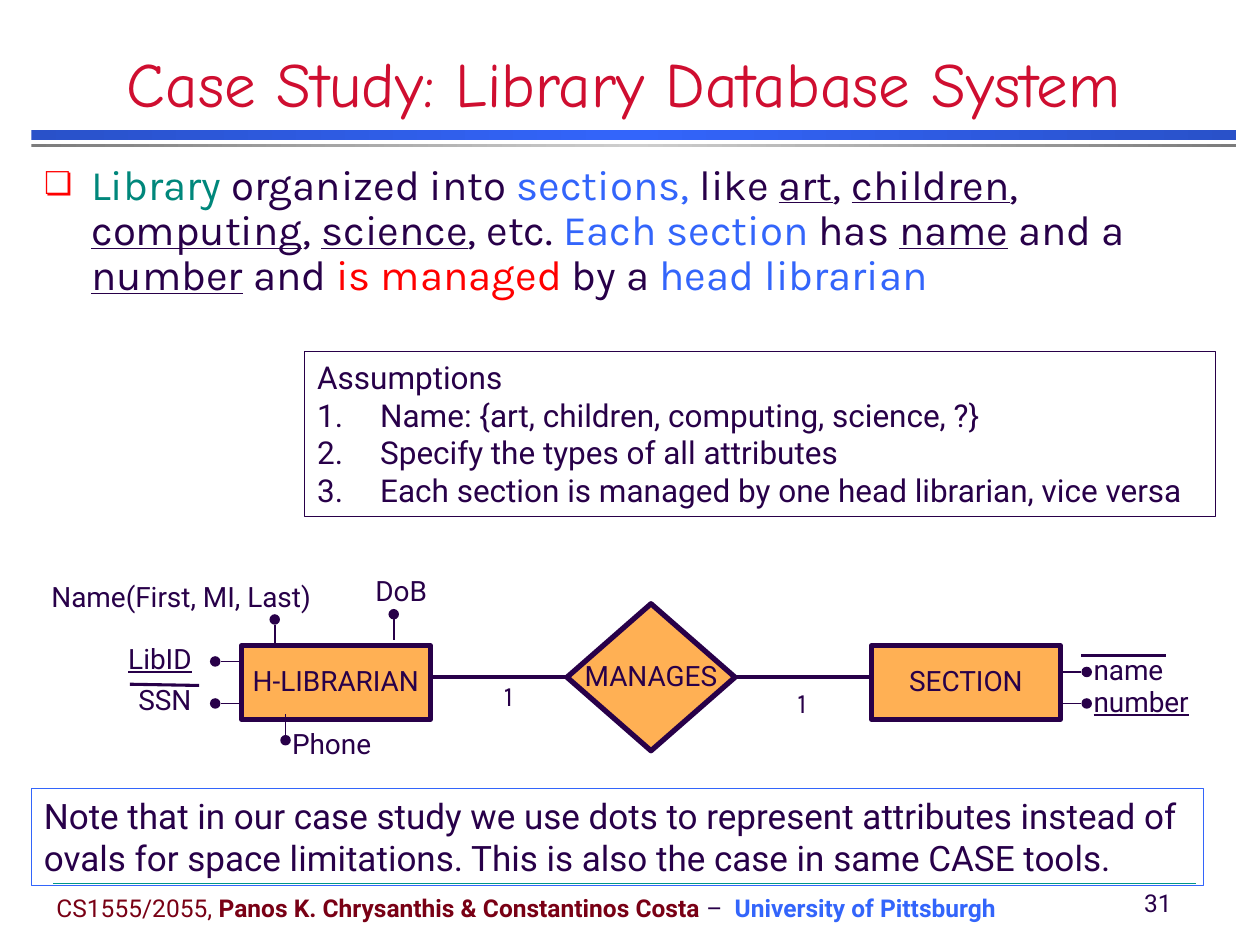
"""Build a slide on the library database case study with its entity-relationship diagram."""
from copy import deepcopy

from lxml.etree import SubElement
from pptx import Presentation
from pptx.dml.color import RGBColor
from pptx.enum.shapes import MSO_CONNECTOR, MSO_SHAPE
from pptx.enum.text import MSO_ANCHOR, PP_ALIGN
from pptx.oxml.ns import qn
from pptx.util import Pt

INK, BLUE, TEAL, RED, MAROON = "280049", "3365FB", "00877B", "FF0000", "790015"
ORANGE, CRIMSON, RULE = "FFB054", "CF0E30", "009688"

TITLE = "Case Study: Library Database System"
UNDERLINED = {"underline": True}
DESCRIPTION = [
    ("Library", {"color": TEAL}), " organized into ", ("sections,", {"color": BLUE}), " like ",
    ("art", UNDERLINED), ", ", ("children", UNDERLINED), ", ", ("computing", UNDERLINED), ", ",
    ("science", UNDERLINED), ", etc. ", ("Each section ", {"color": BLUE}), "has ",
    ("name", UNDERLINED), " and a ", ("number", UNDERLINED), " and ",
    ("is managed ", {"color": RED}), "by a ", ("head librarian", {"color": BLUE}),
]
ASSUMPTIONS = [
    "Assumptions",
    "Name: {art, children, computing, science, ?}",
    "Specify the types of all attributes",
    "Each section is managed by one head librarian, vice versa",
]
NOTE = ("Note that in our case study we use dots to represent attributes instead of ovals "
        "for space limitations. This is also the case in same CASE tools.")
FOOTER = [
    ("CS1555/2055, ", {"color": MAROON}),
    ("Panos K. Chrysanthis & Constantinos Costa", {"color": MAROON, "bold": True}),
    " –  ",
    ("University of Pittsburgh", {"color": BLUE, "bold": True}),
]
BANDS = [(74.2, 5.8, "2951C9", BLUE), (82.1, 2.2, "7C7C7C", "CECECE")]

NODES = [
    ("H-LIBRARIAN", MSO_SHAPE.RECTANGLE, (138, 369, 108, 42)),
    ("MANAGES", MSO_SHAPE.FLOWCHART_DECISION, (324, 345, 96, 84)),
    ("SECTION", MSO_SHAPE.RECTANGLE, (498, 369, 108, 42)),
]
LINKS = [(246, 1), (498, 3)]
CARDINALITIES = [(280.8, 386.6), (448.6, 390.2)]
LEFT, RIGHT, UP, DOWN = (-1, 0), (1, 0), (0, -1), (0, 1)
# label, label box (left, top, width), underline, dot centre, direction of the stem
ATTRIBUTES = [
    ("Name(First, MI, Last)", (22.3, 327.6, 166.3), False, (157, 354), DOWN),
    ("DoB", (207.4, 324, 46), False, (225, 351), DOWN),
    ("LibID", (66.2, 362.9, 51.8), True, (123, 378), RIGHT),
    ("SSN", (72, 386.6, 47.5), False, (123, 402), RIGHT),
    ("Phone", (159.8, 411.8, 61.2), False, (163.2, 423), UP),
    ("name", (617.8, 369.4, 54.7), False, (621, 384), LEFT),
    ("number", (617.8, 387.4, 69.1), True, (621, 402), LEFT),
]
OVERLINES = [((74.2, 391), (113.8, 391.7), 1.75), ((617.8, 374.4), (666, 374.4), 1.5)]
RADIUS, STEM = 3, 12


def rgb(value):
    """Turn a hex string into a colour."""
    return RGBColor.from_string(value)


def place(shape, left, top, width, height):
    """Move and size a shape in points."""
    shape.left, shape.top, shape.width, shape.height = map(Pt, (left, top, width, height))


def write(shape, paragraphs, size, font="Roboto", color=INK, underline=False, align=PP_ALIGN.LEFT,
          anchor=MSO_ANCHOR.TOP, wrap=True, spacing=1):
    """Fill a shape with paragraphs, each a string or a list of runs."""
    frame = shape.text_frame
    frame.word_wrap, frame.vertical_anchor = wrap, anchor
    for index, runs in enumerate(paragraphs):
        paragraph = frame.add_paragraph() if index else frame.paragraphs[0]
        paragraph.alignment, paragraph.line_spacing = align, spacing
        paragraph.space_before = Pt(0)
        for item in [runs] if isinstance(runs, str) else runs:
            text, style = (item, {}) if isinstance(item, str) else item
            run = paragraph.add_run()
            run.text = text
            run.font.name, run.font.size = font, Pt(size)
            run.font.bold = style.get("bold", False)
            run.font.underline = style.get("underline", underline)
            run.font.color.rgb = rgb(style.get("color", color))


def add_bullet(paragraph, indent, *elements):
    """Give a paragraph a hanging indent and bullet elements."""
    properties = paragraph._p.get_or_add_pPr()
    properties.set("marL", str(Pt(indent)))
    properties.set("indent", str(-Pt(indent)))
    for tag, attributes in elements:
        element = SubElement(properties, qn(tag), attributes)
        if tag == "a:buClr":
            SubElement(element, qn("a:srgbClr"), {"val": RED})


def add_text(slide, box, paragraphs, border=None, **style):
    """Add a text box, with a thin border if a colour is given."""
    shape = slide.shapes.add_textbox(*map(Pt, box))
    write(shape, paragraphs, **style)
    if border:
        shape.line.color.rgb, shape.line.width = rgb(border), Pt(0.75)


def add_shape(slide, kind, box, fill=None, border=None):
    """Add a preset shape without shadow."""
    shape = slide.shapes.add_shape(kind, *map(Pt, box))
    shape.shadow.inherit = False
    if fill:
        shape.fill.solid()
        shape.fill.fore_color.rgb = rgb(fill)
    if border:
        shape.line.color.rgb, shape.line.width = rgb(border), Pt(3)
    else:
        shape.line.fill.background()
    return shape


def add_line(slide, start, end, width, color=INK):
    """Add a straight connector without shadow."""
    line = slide.shapes.add_connector(MSO_CONNECTOR.STRAIGHT, *map(Pt, (*start, *end)))
    line.line.color.rgb, line.line.width = rgb(color), Pt(width)
    SubElement(line._element.spPr, qn("a:effectLst"))
    return line


def add_band(slide, top, height, edge, middle):
    """Add a rule that is shaded from its edges to its middle."""
    band = add_shape(slide, MSO_SHAPE.RECTANGLE, (18, top, 688.3, height))
    band.fill.gradient()
    band.fill.gradient_angle = 0
    stops = band._element.spPr.find(".//" + qn("a:gsLst"))
    stops.insert(1, deepcopy(stops[0]))
    for stop, position, color in zip(band.fill.gradient_stops, (0, 0.5, 1), (edge, middle, edge)):
        stop.position, stop.color.rgb = position, rgb(color)


def add_frame(slide):
    """Add the rules, footer, title and body text."""
    for band in BANDS:
        add_band(slide, *band)
    add_text(slide, (25.2, 506, 584, 25), [FOOTER], size=14, anchor=MSO_ANCHOR.MIDDLE, wrap=False)
    add_text(slide, (644, 504, 35.3, 23.8), ["31"], size=14, align=PP_ALIGN.CENTER,
             anchor=MSO_ANCHOR.MIDDLE, wrap=False)
    add_line(slide, (30.2, 504.7), (683.3, 504.7), 0.25, RULE)

    title, body = slide.placeholders
    place(title, 0, 30.2, 712.8, 41.8)
    write(title, [TITLE], size=36, font="Comic Neue", color=CRIMSON, align=PP_ALIGN.CENTER,
          anchor=MSO_ANCHOR.BOTTOM)
    place(body, 18, 90, 690.5, 99.4)
    write(body, [DESCRIPTION], size=24, font="Karla", spacing=0.9)
    add_bullet(body.text_frame.paragraphs[0], 27, ("a:buClr", {}), ("a:buSzPct", {"val": "75000"}),
               ("a:buChar", {"char": "❏"}))


def add_diagram(slide):
    """Add entities, relationship, attributes and cardinalities."""
    shapes = {}
    for label, kind, box in NODES:
        shapes[label] = add_shape(slide, kind, box, ORANGE, INK)
        write(shapes[label], [label], size=16, align=PP_ALIGN.CENTER, anchor=MSO_ANCHOR.MIDDLE,
              wrap=False, spacing=0.9)
    for x, site in LINKS:
        link = add_line(slide, (x, 387), (372, 387), 2.25)
        link.end_connect(shapes["MANAGES"], site)
    for label, (left, top, width), underline, (x, y), (dx, dy) in ATTRIBUTES:
        add_shape(slide, MSO_SHAPE.OVAL, (x - RADIUS, y - RADIUS, 2 * RADIUS, 2 * RADIUS), INK)
        start, end = [(x + dx * reach, y + dy * reach) for reach in (RADIUS, RADIUS + STEM)]
        add_line(slide, start, end, 1)
        add_text(slide, (left, top, width, 26.6), [label], size=16, underline=underline, wrap=False)
    for start, end, width in OVERLINES:
        add_line(slide, start, end, width)
    for left, top in CARDINALITIES:
        add_text(slide, (left, top, 23, 25.2), ["1"], size=16, font="Karla", wrap=False, spacing=0.9)


def main():
    """Build and save the slide."""
    presentation = Presentation()
    presentation.slide_width, presentation.slide_height = Pt(720), Pt(540)
    slide = presentation.slides.add_slide(presentation.slide_layouts[1])
    add_frame(slide)
    add_diagram(slide)
    add_text(slide, (174.2, 200.9, 520.6, 94.3), ASSUMPTIONS, border=INK, size=18)
    for paragraph in slide.shapes[-1].text_frame.paragraphs[1:]:
        add_bullet(paragraph, 36, ("a:buFont", {"typeface": "+mj-lt"}),
                   ("a:buAutoNum", {"type": "arabicPeriod"}))
    add_text(slide, (18, 450.7, 669.6, 55.4), [NOTE], border=BLUE, size=20)
    presentation.save("out.pptx")


if __name__ == "__main__":
    main()
